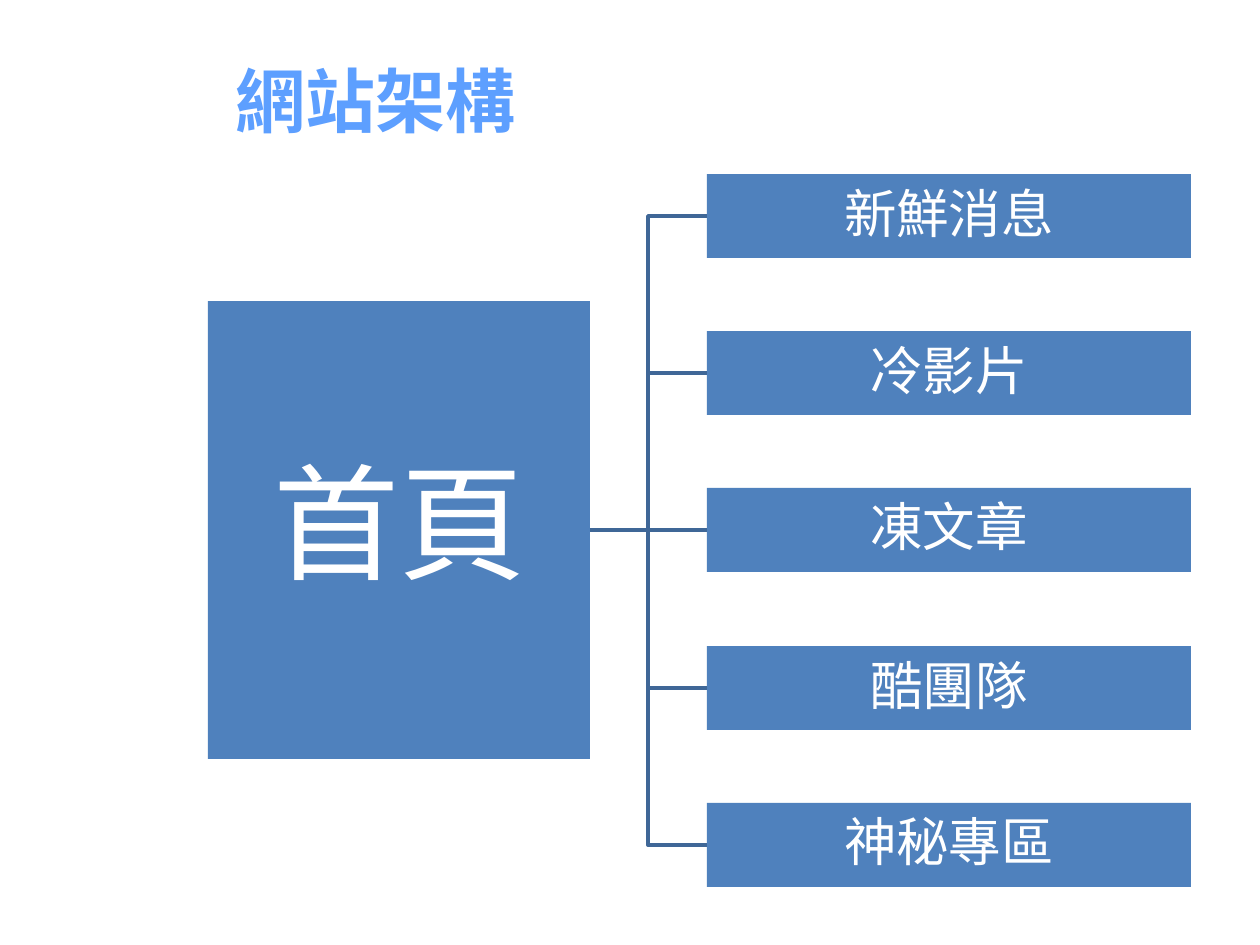
"""Build the website structure slide: a home page box branching to five sections."""
from dataclasses import dataclass

from lxml import etree
from pptx import Presentation
from pptx.dml.color import RGBColor
from pptx.enum.shapes import MSO_CONNECTOR, MSO_SHAPE
from pptx.enum.text import MSO_ANCHOR, PP_ALIGN
from pptx.oxml.ns import qn
from pptx.util import Emu, Pt

RECT = MSO_SHAPE.RECTANGLE
STRAIGHT = MSO_CONNECTOR.STRAIGHT
MIDDLE = MSO_ANCHOR.MIDDLE
LEFT, CENTER = PP_ALIGN.LEFT, PP_ALIGN.CENTER

SCALE = 914400 / 126
FONT = "Noto Sans CJK SC"
COLORS = {"title": "5D9FFF", "box": "4F81BD", "line": "3F6797", "text": "FFFFFF"}
LINE_WIDTH = Pt(2)
SECTIONS = ["新鮮消息", "冷影片", "凍文章", "酷團隊", "神秘專區"]
SECTION_TOP, SECTION_STEP = 174, 157.25
RIGHT_SIDE, LEFT_SIDE = 3, 1


@dataclass(frozen=True)
class Box:
    text: str
    x: int
    y: int
    w: int
    h: int
    size: int
    inset: int

    @property
    def mid_y(self) -> int:
        return self.y + self.h // 2


def px(n: int) -> Emu:
    return Emu(round(n * SCALE))


def rgb(name: str) -> RGBColor:
    return RGBColor.from_string(COLORS[name])


def add_run(p, text: str, size: int, color: str, bold: bool = False) -> None:
    r = p.add_run()
    r.text = text
    r.font.size = Pt(size)
    r.font.bold = bold
    r.font.name = FONT
    r.font.color.rgb = rgb(color)
    ea = etree.Element(qn("a:ea"), typeface=FONT)
    r._r.rPr.find(qn("a:latin")).addnext(ea)


def add_title(slide, text: str) -> None:
    sp = slide.shapes.title
    sp.left, sp.top, sp.width, sp.height = px(223), px(26), px(1037), px(147)
    tf = sp.text_frame
    tf.vertical_anchor = MIDDLE
    p = tf.paragraphs[0]
    p.alignment = LEFT
    add_run(p, text, 40, "title", bold=True)


def add_box(slide, box: Box):
    sp = slide.shapes.add_shape(RECT, px(box.x), px(box.y), px(box.w), px(box.h))
    sp.shadow.inherit = False
    sp.fill.solid()
    sp.fill.fore_color.rgb = rgb("box")
    sp.line.fill.background()
    tf = sp.text_frame
    tf.word_wrap = True
    tf.vertical_anchor = MIDDLE
    tf.margin_left = tf.margin_right = tf.margin_top = tf.margin_bottom = px(box.inset)
    p = tf.paragraphs[0]
    p.alignment = CENTER
    p.line_spacing = 0.9
    add_run(p, box.text, box.size, "text")
    return sp


def style_line(sp) -> None:
    sp.line.color.rgb = rgb("line")
    sp.line.width = LINE_WIDTH


def add_elbow(slide, start: Box, end: Box) -> None:
    x1, x2 = start.x + start.w, end.x
    mid_x = (x1 + x2) // 2
    fb = slide.shapes.build_freeform(x1, start.mid_y, scale=SCALE)
    fb.add_line_segments(
        [(mid_x, start.mid_y), (mid_x, end.mid_y), (x2, end.mid_y)], close=False
    )
    sp = fb.convert_to_shape()
    sp.shadow.inherit = False
    sp.fill.background()
    style_line(sp)


def add_straight(slide, start_sp, end_sp) -> None:
    cxn = slide.shapes.add_connector(STRAIGHT, 0, 0, 0, 0)
    cxn.begin_connect(start_sp, RIGHT_SIDE)
    cxn.end_connect(end_sp, LEFT_SIDE)
    style_line(cxn)
    etree.SubElement(cxn._element.spPr, qn("a:effectLst"))


def main() -> None:
    prs = Presentation()
    prs.slide_width, prs.slide_height = px(1260), px(945)
    slide = prs.slides.add_slide(prs.slide_layouts[5])
    add_title(slide, "網站架構")

    home = Box("首頁", 208, 301, 382, 458, 72, 6)
    sections = [
        Box(text, 707, SECTION_TOP + round(i * SECTION_STEP), 484, 84, 30, 3)
        for i, text in enumerate(SECTIONS)
    ]
    home_sp = add_box(slide, home)
    for section in sections:
        sp = add_box(slide, section)
        if section.mid_y == home.mid_y:
            add_straight(slide, home_sp, sp)
        else:
            add_elbow(slide, home, section)

    prs.save("out.pptx")


if __name__ == "__main__":
    main()
